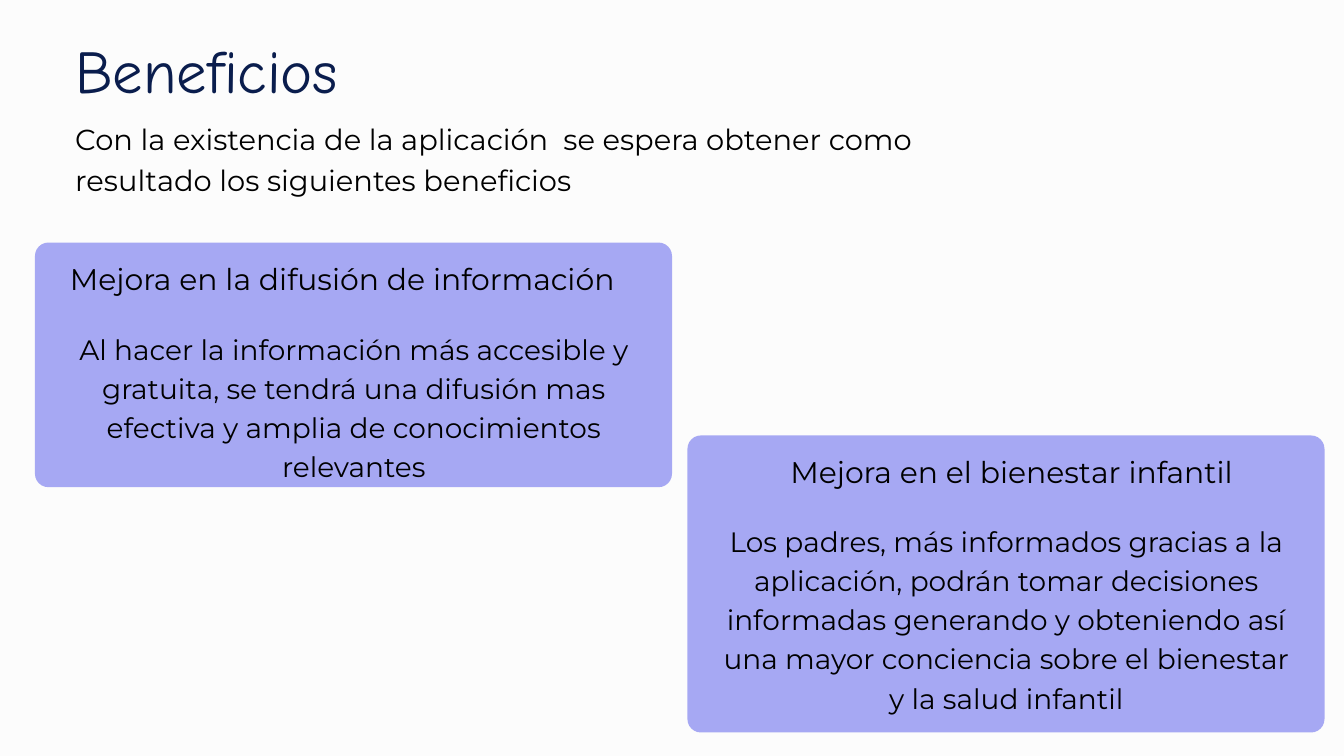
"""Build the benefits slide with its two rounded cards."""
from dataclasses import dataclass

from pptx import Presentation
from pptx import util as u
from pptx.dml.color import RGBColor
from pptx.enum import shapes, text
from pptx.slide import Slide

BACKGROUND = RGBColor(0xFC, 0xFC, 0xFC)
LAVENDER = RGBColor(0xA6, 0xA8, 0xF3)
NAVY = RGBColor(0x0A, 0x1D, 0x4D)
BLACK = RGBColor(0, 0, 0)
LEFT, CENTER = text.PP_ALIGN.LEFT, text.PP_ALIGN.CENTER


def write(shape, content, *, font, size, color, spacing, align=LEFT):
    frame = shape.text_frame
    frame.word_wrap = True
    frame.auto_size = text.MSO_AUTO_SIZE.SHAPE_TO_FIT_TEXT
    frame.vertical_anchor = text.MSO_ANCHOR.TOP
    frame.margin_left = frame.margin_right = u.Inches(0)
    frame.margin_top = frame.margin_bottom = u.Inches(0)
    paragraph = frame.paragraphs[0]
    paragraph.alignment = align
    paragraph.line_spacing = u.Pt(spacing)
    paragraph.space_before = u.Pt(0)
    run = paragraph.add_run()
    run.text = content
    run.font.name = font
    run.font.size = u.Pt(size)
    run.font.color.rgb = color


@dataclass
class BenefitsSlide:
    slide: Slide
    title_font: str = "Comic Neue"
    body_font: str = "Montserrat"
    leading: float = 1.4
    corner: float = 0.2

    def background(self):
        fill = self.slide.background.fill
        fill.solid()
        fill.fore_color.rgb = BACKGROUND

    def title(self, content, left, top, width, height):
        shape = self.slide.shapes.title
        shape.left, shape.top = u.Inches(left), u.Inches(top)
        shape.width, shape.height = u.Inches(width), u.Inches(height)
        write(shape, content, font=self.title_font, size=65, color=NAVY,
              spacing=81.9)

    def body(self, content, left, top, width, height, size, align=LEFT):
        shape = self.slide.shapes.add_textbox(
            *map(u.Inches, (left, top, width, height)))
        write(shape, content, font=self.body_font, size=size, color=BLACK,
              spacing=size * self.leading, align=align)

    def panel(self, left, top, width, height):
        shape = self.slide.shapes.add_shape(
            shapes.MSO_SHAPE.ROUNDED_RECTANGLE,
            *map(u.Inches, (left, top, width, height)))
        shape.adjustments[0] = self.corner / min(width, height)
        shape.shadow.inherit = False
        shape.fill.solid()
        shape.fill.fore_color.rgb = LAVENDER
        shape.line.fill.background()

    def card(self, heading, detail, left, top, height, detail_top,
             detail_height, heading_align):
        self.panel(left, top, 9.48, height)
        self.body(heading, left + 0.52, top + 0.18, 8.61, 0.58, 32,
                  heading_align)
        self.body(detail, left + 0.37, top + detail_top, 8.75,
                  detail_height, 30, CENTER)


def main():
    presentation = Presentation()
    presentation.slide_width = u.Inches(20)
    presentation.slide_height = u.Inches(11.25)
    layout = presentation.slide_layouts.get_by_name("Title Only")
    page = BenefitsSlide(presentation.slides.add_slide(layout))

    page.background()
    page.title("Beneficios", 1.12, 0.43, 6.82, 1.12)
    page.body("Con la existencia de la aplicación  se espera obtener como "
              "resultado los siguientes beneficios",
              1.12, 1.73, 13.2, 1.17, 31)
    page.card("Mejora en la difusión de información",
              "Al hacer la información más accesible y gratuita, se tendrá "
              "una difusión mas efectiva y amplia de conocimientos relevantes",
              left=0.52, top=3.61, height=3.64, detail_top=1.25,
              detail_height=2.3, heading_align=LEFT)
    page.card("Mejora en el bienestar infantil",
              "Los padres, más informados gracias a la aplicación, podrán "
              "tomar decisiones informadas generando y obteniendo así una "
              "mayor conciencia sobre el bienestar y la salud infantil",
              left=10.23, top=6.48, height=4.42, detail_top=1.24,
              detail_height=2.9, heading_align=CENTER)

    presentation.save("out.pptx")


if __name__ == "__main__":
    main()
